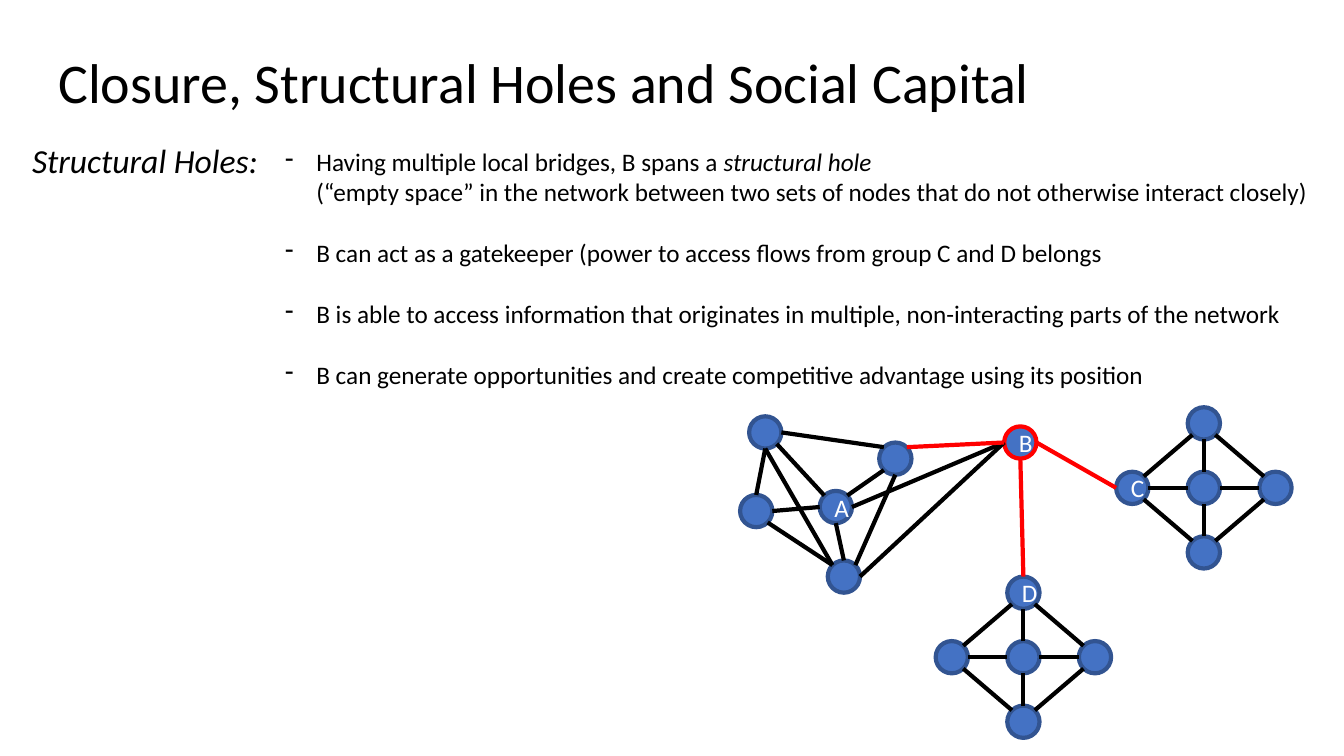
import pptx
import pptx.util
import pptx.dml.color
import pptx.enum.shapes
import pptx.enum.text
import pptx.oxml.ns
from lxml import etree
from pptx.util import Inches, Pt

BLACK, WHITE, RED = "000000", "FFFFFF", "FF0000"
NODE_FILL, NODE_LINE = "4472C4", "325491"
RADIUS = 0.16
qn = pptx.oxml.ns.qn


def paint(color_format, value):
    color_format.rgb = pptx.dml.color.RGBColor.from_string(value)


def style(paragraph, size, color=BLACK):
    paragraph.font.name = "Calibri"
    paragraph.font.size = Pt(size)
    paint(paragraph.font.color, color)


presentation = pptx.Presentation()
presentation.slide_width, presentation.slide_height = Inches(13.33), Inches(7.5)
slide = presentation.slides.add_slide(presentation.slide_layouts[6])
shapes = slide.shapes

# Title and section heading
for text, box, size, italic, anchor in (
    ("Closure, Structural Holes and Social Capital", (0.48, 0.11, 11.04, 1.47), 40, False, "MIDDLE"),
    ("Structural Holes:", (0.22, 1.38, 2.6, 0.55), 24, True, "TOP"),
):
    frame = shapes.add_textbox(*map(Inches, box)).text_frame
    frame.word_wrap = True
    frame.vertical_anchor = pptx.enum.text.MSO_ANCHOR[anchor]
    heading = frame.paragraphs[0]
    heading.text = text
    heading.line_spacing = 0.9
    style(heading, size)
    heading.font.italic = italic

# Nodes of the group around A, and B as the bridge
nodes = {
    "top": (7.59, 4.29),
    "bottom": (8.37, 5.72),
    "right": (8.88, 4.55),
    "left": (7.5, 5.07),
    "A": (8.29, 5.03),
    "B": (10.12, 4.39),
}
edges = [
    ("left", "E", "A", "W", BLACK),
    ("left", "SE", "bottom", "NW", BLACK),
    ("right", "NW", "top", "E", BLACK),
    ("right", "SW", "A", "NE", BLACK),
    ("B", "W", "A", "E", BLACK),
    ("left", "N", "top", "S", BLACK),
    ("A", "S", "bottom", "N", BLACK),
    ("right", "S", "bottom", "NE", BLACK),
    ("top", "SE", "A", "NW", BLACK),
    ("top", "S", "bottom", "NW", BLACK),
    ("B", "W", "bottom", "E", BLACK),
    ("B", "W", "right", "NE", RED),
    ("B", "E", "C", "W", RED),
    ("D", "N", "B", "S", RED),
]

# Diamond groups: a hub, four outer nodes, spokes and rim
for hub, hub_x, hub_y, names in (
    ("hub C", 11.94, 4.84, ("north C", "east C", "south C", "C")),
    ("hub D", 10.15, 6.52, ("D", "east D", "south D", "west D")),
):
    north, east, south, west = names
    nodes[hub] = (hub_x, hub_y)
    for name, dx, dy in zip(names, (0, 0.71, 0, -0.71), (-0.64, 0, 0.64, 0)):
        nodes[name] = (hub_x + dx, hub_y + dy)
    edges += [
        (hub, "N", north, "S", BLACK),
        (hub, "E", east, "W", BLACK),
        (hub, "S", south, "N", BLACK),
        (hub, "W", west, "E", BLACK),
        (north, "SE", east, "NW", BLACK),
        (east, "SW", south, "NE", BLACK),
        (south, "NW", west, "SE", BLACK),
        (west, "NE", north, "SW", BLACK),
    ]

# Draw nodes
for name, (x, y) in nodes.items():
    node = shapes.add_shape(
        pptx.enum.shapes.MSO_SHAPE.OVAL,
        Inches(x - RADIUS), Inches(y - RADIUS), Inches(2 * RADIUS), Inches(2 * RADIUS),
    )
    node.shadow.inherit = False
    node.fill.solid()
    paint(node.fill.fore_color, NODE_FILL)
    paint(node.line.color, RED if name == "B" else NODE_LINE)
    node.line.width = Pt(3)
    if name in ("A", "B", "C", "D"):
        label = node.text_frame.paragraphs[0]
        label.text = name
        label.alignment = pptx.enum.text.PP_ALIGN.CENTER
        style(label, 18, WHITE)

# Draw edges between compass points on the node rims
for start, start_side, end, end_side, color in edges:
    points = []
    for name, side in ((start, start_side), (end, end_side)):
        reach = RADIUS if len(side) == 1 else RADIUS * 0.71
        x, y = nodes[name]
        points.append(Inches(x + reach * (("E" in side) - ("W" in side))))
        points.append(Inches(y + reach * (("S" in side) - ("N" in side))))
    edge = shapes.add_connector(pptx.enum.shapes.MSO_CONNECTOR.STRAIGHT, *points)
    paint(edge.line.color, color)
    edge.line.width = Pt(3)
    etree.SubElement(edge._element.spPr, qn("a:effectLst"))

# Bullets on structural holes
bullets = (
    "Having multiple local bridges, B spans a ",
    "B can act as a gatekeeper (power to access flows from group C and D belongs",
    "B is able to access information that originates in multiple, non-interacting parts of the network",
    "B can generate opportunities and create competitive advantage using its position",
)
frame = shapes.add_textbox(Inches(2.73), Inches(1.4), Inches(10.8), Inches(2.83)).text_frame
frame.word_wrap = True
for index, text in enumerate(bullets):
    bullet = frame.paragraphs[0] if index == 0 else frame.add_paragraph()
    bullet.add_run().text = text
    if index == 0:
        term = bullet.add_run()
        term.text = "structural hole"
        term.font.italic = True
        bullet.add_line_break()
        bullet.add_run().text = (
            "(“empty space” in the network between two sets of nodes that do not otherwise interact closely)"
        )
    else:
        bullet.space_before = Pt(22)
    properties = bullet._p.get_or_add_pPr()
    properties.set("marL", str(Inches(0.31)))
    properties.set("indent", str(-Inches(0.31)))
    etree.SubElement(properties, qn("a:buChar")).set("char", "-")
    style(bullet, 18)

presentation.save("out.pptx")
